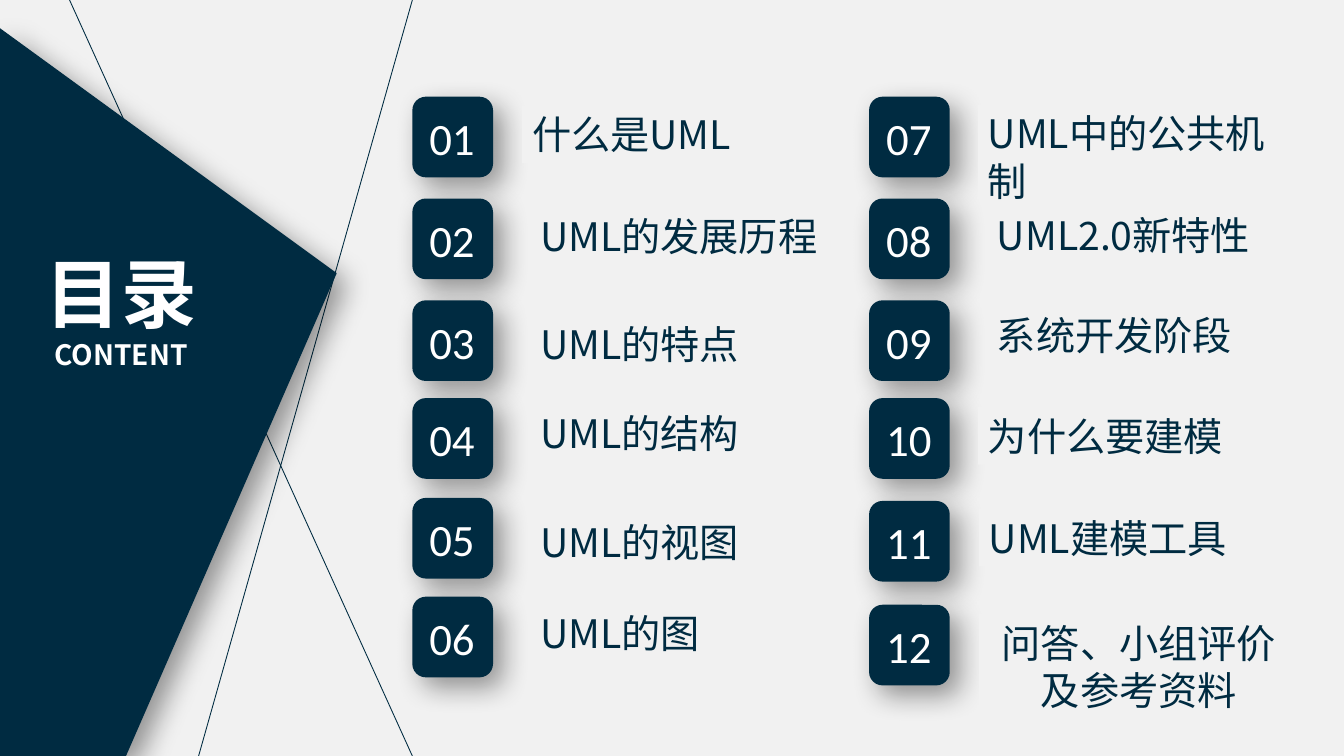
"""Build the contents slide: a dark title panel and twelve numbered topics in two columns."""
import lxml.etree
import pptx
import pptx.dml.color
import pptx.enum.shapes
import pptx.enum.text
import pptx.oxml.ns
import pptx.util

THEME = {
    "navy": pptx.dml.color.RGBColor.from_string("002B41"),
    "paper": pptx.dml.color.RGBColor.from_string("F1F1F1"),
    "white": pptx.dml.color.RGBColor.from_string("FFFFFF"),
    "text_font": "Noto Sans CJK SC",
    "number_font": "Calibri",
    "title": 54,
    "subtitle": 20,
    "number": 32,
    "topic": 28,
}
WIDTH, HEIGHT = 13.33, 7.5
BADGE = 0.8
COLUMNS = [
    (4.09, [0.96, 1.97, 2.98, 3.95, 4.94, 5.92], [
        ("什么是UML", 1.09, 0.09),
        ("UML的发展历程", 1.17, 0.09),
        ("UML的特点", 1.17, 0.15),
        ("UML的结构", 1.17, 0.06),
        ("UML的视图", 1.17, 0.15),
        ("UML的图", 1.17, 0.08),
    ]),
    (8.62, [0.96, 1.97, 2.98, 3.95, 4.97, 6.0], [
        ("UML中的公共机制", 1.08, 0.08),
        ("UML2.0新特性", 1.17, 0.08),
        ("系统开发阶段", 1.17, 0.06),
        ("为什么要建模", 1.08, 0.09),
        ("UML建模工具", 1.09, 0.08),
        ("问答、小组评价及参考资料", 1.09, 0.09),
    ]),
]
inch = pptx.util.Inches
qn = pptx.oxml.ns.qn
ALIGN = pptx.enum.text.PP_ALIGN


def style_text(p, text, size, font, color, bold=False, align=ALIGN.LEFT):
    """Write one paragraph and set its font for Latin and Chinese letters."""
    p.text = text
    p.alignment = align
    p.font.size = pptx.util.Pt(size)
    p.font.bold = bold
    p.font.color.rgb = color
    p.font.name = font
    props = p._p.pPr.find(qn("a:defRPr"))
    lxml.etree.SubElement(props, qn("a:ea")).set("typeface", font)


def paint_panel(sp):
    """Fill a shape navy and give it the soft shadow to the lower right."""
    sp.fill.solid()
    sp.fill.fore_color.rgb = THEME["navy"]
    sp.line.fill.background()
    sp.shadow.inherit = False
    effects = sp._element.spPr.find(qn("a:effectLst"))
    shadow = lxml.etree.SubElement(
        effects, qn("a:outerShdw"), blurRad=str(pptx.util.Pt(20)),
        dist=str(pptx.util.Pt(10)), dir=str(45 * 60000), algn="tl", rotWithShape="0")
    color = lxml.etree.SubElement(shadow, qn("a:srgbClr"), val="000000")
    lxml.etree.SubElement(color, qn("a:alpha"), val="40000")


prs = pptx.Presentation()
prs.slide_width, prs.slide_height = inch(WIDTH), inch(HEIGHT)
s = prs.slides.add_slide(prs.slide_layouts[6])
s.background.fill.solid()
s.background.fill.fore_color.rgb = THEME["paper"]

for top_x, bottom_x in [(4.09, 1.97), (0.69, 4.09)]:
    line = s.shapes.add_connector(
        pptx.enum.shapes.MSO_CONNECTOR.STRAIGHT,
        inch(top_x), 0, inch(bottom_x), inch(HEIGHT))
    line.line.color.rgb = THEME["navy"]
    line.line.width = pptx.util.Pt(0.63)
    lxml.etree.SubElement(line._element.spPr, qn("a:effectLst"))

builder = s.shapes.build_freeform(inch(1.25), inch(HEIGHT))
builder.add_line_segments(
    [(inch(x), inch(y)) for x, y in [(0, HEIGHT), (0, 0.28), (3.34, 2.71)]], close=True)
paint_panel(builder.convert_to_shape())

tf = s.shapes.add_textbox(inch(0.24), inch(2.4), inch(1.92), inch(1.35)).text_frame
tf.word_wrap = True
style_text(tf.paragraphs[0], "目录", THEME["title"], THEME["text_font"],
           THEME["white"], True, ALIGN.CENTER)
style_text(tf.add_paragraph(), "CONTENT", THEME["subtitle"], THEME["text_font"],
           THEME["white"], True, ALIGN.CENTER)

number = 0
for left, tops, topics in COLUMNS:
    for top, (topic, dx, dy) in zip(tops, topics):
        number += 1
        badge = s.shapes.add_shape(
            pptx.enum.shapes.MSO_SHAPE.ROUNDED_RECTANGLE,
            inch(left), inch(top), inch(BADGE), inch(BADGE))
        paint_panel(badge)

        tf = s.shapes.add_textbox(
            inch(left + 0.07), inch(top + 0.09), inch(0.66), inch(0.64)).text_frame
        tf.word_wrap = False
        style_text(tf.paragraphs[0], f"{number:02d}", THEME["number"],
                   THEME["number_font"], THEME["white"])

        lines = 2 if len(topic) > 8 and "2.0" not in topic else 1
        sp = s.shapes.add_shape(
            pptx.enum.shapes.MSO_SHAPE.RECTANGLE, inch(left + dx), inch(top + dy),
            inch(3.17), inch(0.1 + 0.47 * lines))
        sp.fill.solid()
        sp.fill.fore_color.rgb = THEME["paper"]
        sp.line.fill.background()
        sp.shadow.inherit = False
        tf = sp.text_frame
        tf.word_wrap = True
        tf.vertical_anchor = pptx.enum.text.MSO_ANCHOR.TOP
        style_text(tf.paragraphs[0], topic, THEME["topic"], THEME["text_font"],
                   THEME["navy"], align=ALIGN.CENTER if number == 12 else ALIGN.LEFT)

prs.save("out.pptx")
